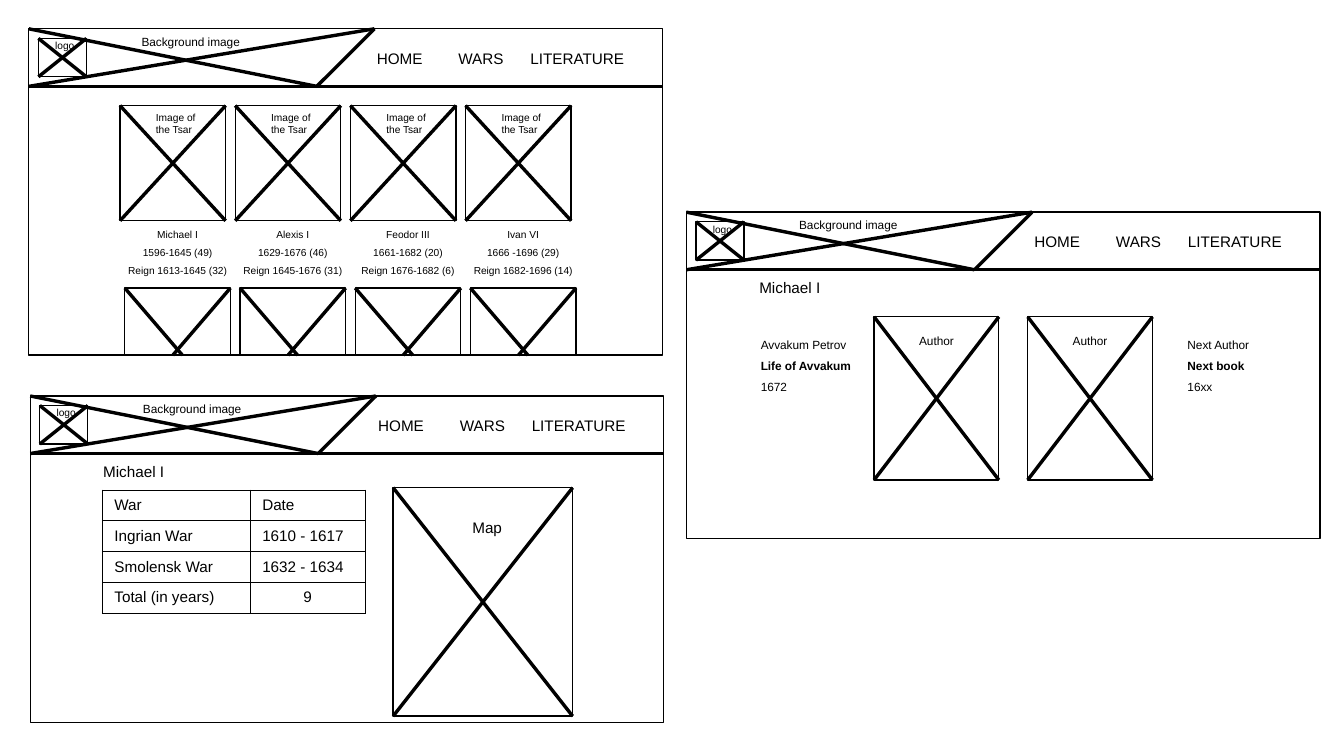
from dataclasses import dataclass

from lxml import etree
from pptx import Presentation
from pptx import util as u
from pptx.dml.color import RGBColor
from pptx.enum import shapes, text
from pptx.oxml import ns


@dataclass(frozen=True)
class Theme:
    font: str = "Arial"
    ink: RGBColor = RGBColor(0, 0, 0)
    small: u.Pt = u.Pt(6)
    note: u.Pt = u.Pt(7)
    body: u.Pt = u.Pt(9)
    hairline: u.Pt = u.Pt(0)
    border: u.Pt = u.Pt(0.57)


THEME = Theme()
CENTER = text.PP_ALIGN.CENTER
MIDDLE = text.MSO_ANCHOR.MIDDLE

SCREEN_W, SCREEN_H, HEADER_H = 13.2, 6.8, 1.2
MENU = [("HOME", 7.0, 1.6), ("WARS", 8.7, 1.6), ("LITERATURE", 10.2, 2.6)]
TSARS = [
    ("Michael I", "1596-1645 (49)", "Reign 1613-1645 (32)"),
    ("Alexis I", "1629-1676 (46)", "Reign 1645-1676 (31)"),
    ("Feodor III", "1661-1682 (20)", "Reign 1676-1682 (6)"),
    ("Ivan VI", "1666 -1696 (29)", "Reign 1682-1696 (14)"),
]
WARS = [
    ("War", "Date"),
    ("Ingrian War", "1610 - 1617"),
    ("Smolensk War", "1632 - 1634"),
    ("Total (in years)", "9"),
]


def add_run(p, words, size, bold=False):
    r = p.add_run()
    r.text = words
    r.font.name, r.font.size, r.font.bold = THEME.font, size, bold
    r.font.color.rgb = THEME.ink


def add_text(sp, x, y, w, h, lines, size, align=None, anchor=None,
             spacing=None, bold_line=None):
    box = sp.add_textbox(u.Cm(x), u.Cm(y), u.Cm(w), u.Cm(h))
    tf = box.text_frame
    tf.word_wrap = True
    tf.auto_size = text.MSO_AUTO_SIZE.SHAPE_TO_FIT_TEXT
    tf.vertical_anchor = anchor
    for i, words in enumerate(lines):
        p = tf.add_paragraph() if i else tf.paragraphs[0]
        p.alignment, p.line_spacing = align, spacing
        add_run(p, words, size, bold=i == bold_line)


def add_line(sp, x1, y1, x2, y2):
    line = sp.add_connector(shapes.MSO_CONNECTOR.STRAIGHT,
                            u.Cm(x1), u.Cm(y1), u.Cm(x2), u.Cm(y2))
    line.line.color.rgb = THEME.ink
    line.line.width = THEME.hairline
    etree.SubElement(line._element.spPr, ns.qn("a:effectLst"))


def add_outline(sp, x, y, w, h):
    s = sp.add_shape(shapes.MSO_SHAPE.RECTANGLE,
                     u.Cm(x), u.Cm(y), u.Cm(w), u.Cm(h))
    s.shadow.inherit = False
    s.fill.background()
    s.line.color.rgb = THEME.ink
    s.line.width = THEME.hairline


def add_placeholder(sp, x, y, w, h, reach=None):
    """Group a box with its two diagonals, each `reach` wide; return its shapes."""
    reach = reach or w
    group = sp.add_group_shape().shapes
    add_outline(group, x, y, w, h)
    add_line(group, x, y, x + reach, y + h)
    add_line(group, x + w - reach, y + h, x + w, y)
    return group


def add_screen(sp, x, y):
    """Draw the window frame and the header that every screen shares."""
    bottom = y + HEADER_H
    add_outline(sp, x, y, SCREEN_W, SCREEN_H)
    add_line(sp, x, bottom, x + SCREEN_W, bottom)
    logo = add_placeholder(sp, x + 0.2, y + 0.2, 1.0, 0.8)
    add_text(logo, x + 0.3, y + 0.1, 1.1, 0.73, ["logo"], THEME.small)
    for words, left, width in MENU:
        add_text(sp, x + left, y + 0.3, width, 0.61, [words], THEME.body)
    add_line(sp, x + 7.2, y, x + 6.0, bottom)
    add_line(sp, x, bottom, x + 7.2, y)
    add_line(sp, x, y, x + 6.0, bottom)
    add_text(sp, x + 2.1, y, 2.6, 0.53, ["Background image"], THEME.note)


def add_heading(sp, x, y, words):
    add_text(sp, x + 1.27, y + 1.25, 3.0, 0.61, [words], THEME.body)


def add_table(sp, x, y, col_widths, row_height, rows):
    frame = sp.add_table(len(rows), len(col_widths), u.Cm(x), u.Cm(y),
                         u.Cm(sum(col_widths)), u.Cm(row_height * len(rows)))
    table = frame.table
    table.first_row = table.horz_banding = False
    for col, width in zip(table.columns, col_widths):
        col.width = u.Cm(width)
    for i, row in enumerate(rows):
        for j, words in enumerate(row):
            cell = table.cell(i, j)
            cell.fill.background()
            cell.vertical_anchor = MIDDLE
            p = cell.text_frame.paragraphs[0]
            p.alignment = CENTER if words.isdigit() else None
            add_run(p, words, THEME.body)
            add_borders(cell)


def add_borders(cell):
    tc_pr = cell._tc.get_or_add_tcPr()
    for i, side in enumerate("LRTB"):
        ln = etree.Element(ns.qn(f"a:ln{side}"), w=str(int(THEME.border)))
        fill = etree.SubElement(ln, ns.qn("a:solidFill"))
        etree.SubElement(fill, ns.qn("a:srgbClr"), val=str(THEME.ink))
        tc_pr.insert(i, ln)


def add_home_screen(sp, x, y):
    add_screen(sp, x, y)
    for i, facts in enumerate(TSARS):
        left = x + 1.9 + 2.4 * i
        card = add_placeholder(sp, left, y + 1.6, 2.2, 2.4)
        add_text(card, left + 0.5, y + 1.6, 1.5, 0.73,
                 ["Image of the Tsar"], THEME.small)
        add_text(sp, left - 0.1, y + 3.9, 2.6, 1.32, facts, THEME.small,
                 align=CENTER, spacing=1.5)
        add_placeholder(sp, left + 0.1, y + 5.4, 2.2, 1.4, reach=1.2)


def add_wars_screen(sp, x, y):
    add_screen(sp, x, y)
    add_heading(sp, x, y, "Michael I")
    add_table(sp, x + 1.5, y + 1.96, [3.08, 2.4], 0.64, WARS)
    war_map = add_placeholder(sp, x + 7.56, y + 1.91, 3.74, 4.76)
    add_text(war_map, x + 8.77, y + 2.44, 1.5, 0.61, ["Map"], THEME.body,
             align=CENTER, anchor=MIDDLE)


def add_literature_screen(sp, x, y):
    add_screen(sp, x, y)
    add_heading(sp, x, y, "Michael I")
    books = [
        (1.3, 2.8, ["Avvakum Petrov", "Life of Avvakum", "1672"]),
        (10.19, 1.9, ["Next Author", "Next book", "16xx"]),
    ]
    for i, (caption_left, caption_w, facts) in enumerate(books):
        left = x + 3.91 + 3.2 * i
        cover = add_placeholder(sp, left, y + 2.18, 2.6, 3.4)
        add_text(cover, left + 0.6, y + 2.38, 1.4, 0.61, ["Author"], THEME.note,
                 align=CENTER, anchor=MIDDLE)
        add_text(sp, x + caption_left, y + 2.38, caption_w, 1.5, facts,
                 THEME.note, anchor=MIDDLE, spacing=1.5, bold_line=1)


def main():
    prs = Presentation()
    prs.slide_width, prs.slide_height = u.Cm(28), u.Cm(15.75)
    sp = prs.slides.add_slide(prs.slide_layouts[6]).shapes
    add_home_screen(sp, 0.6, 0.6)
    add_wars_screen(sp, 0.63, 8.25)
    add_literature_screen(sp, 14.3, 4.42)
    prs.save("out.pptx")


if __name__ == "__main__":
    main()
